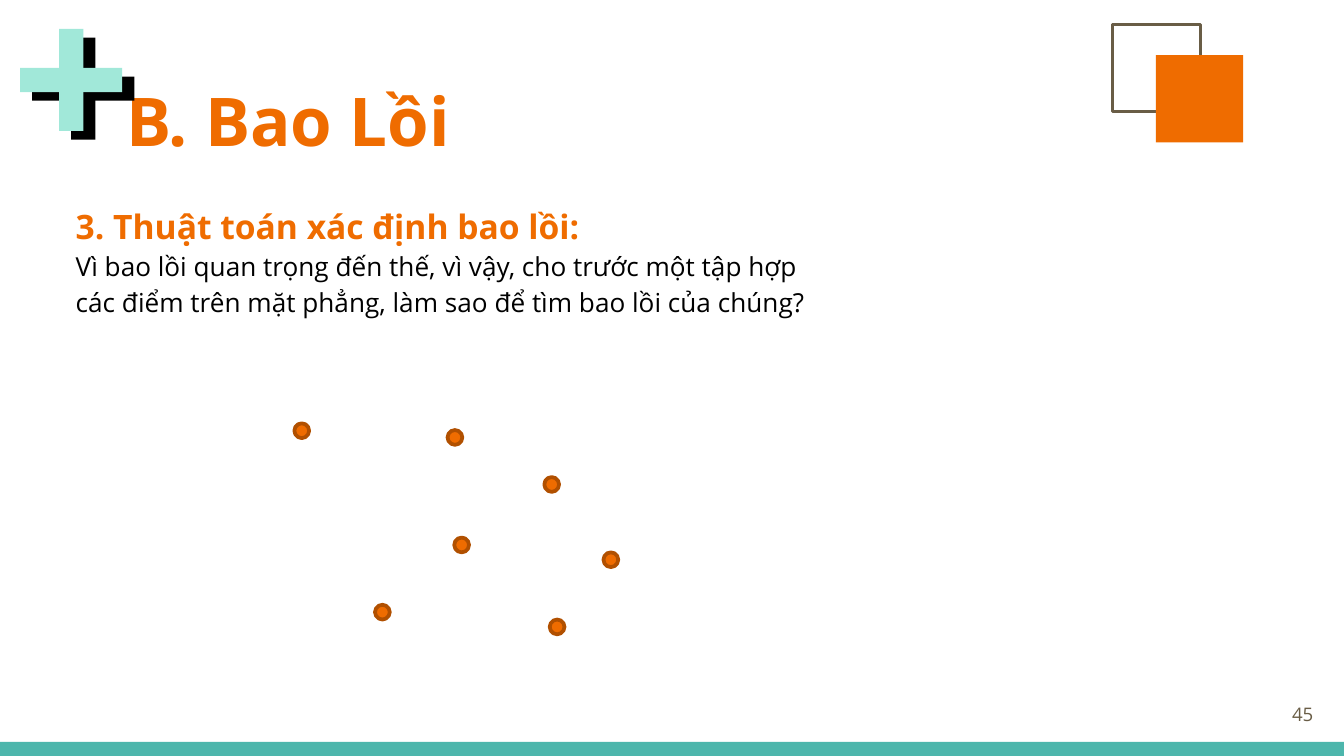
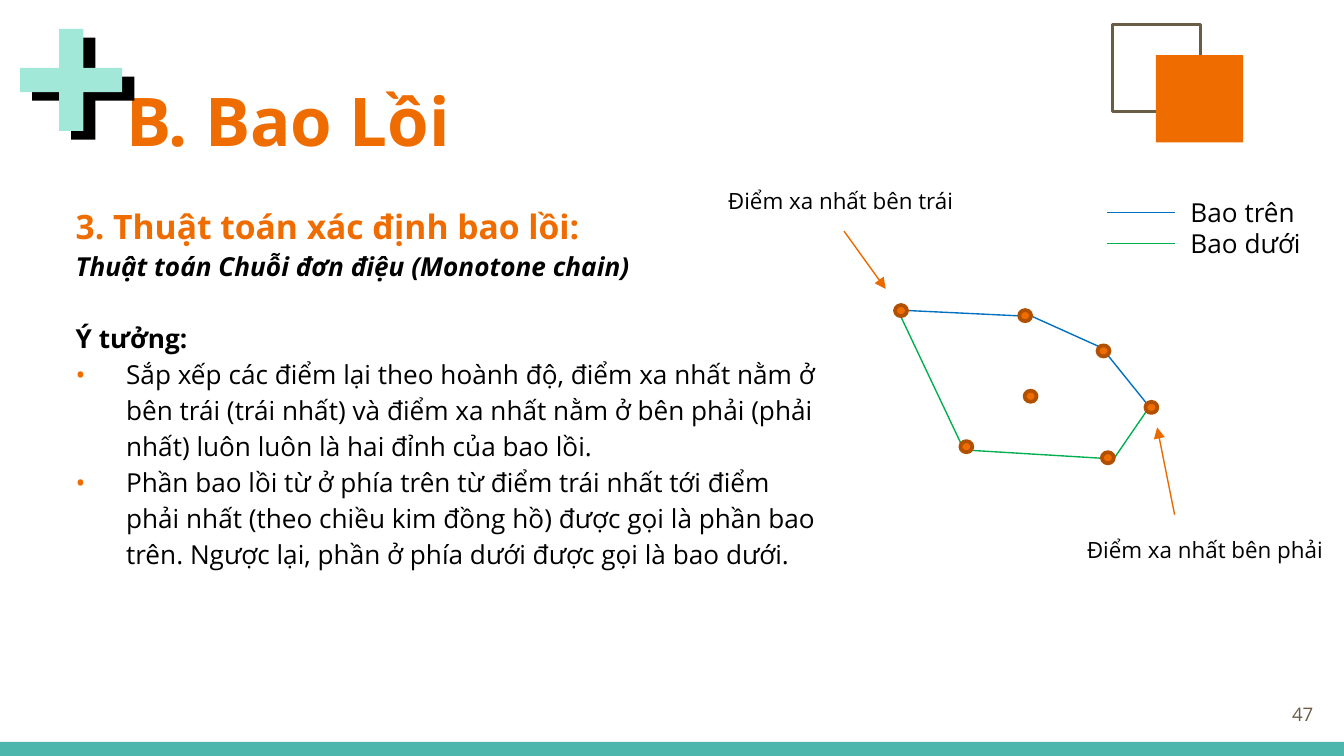
"""Build two slides on finding the convex hull of a set of points."""
from lxml import etree
from pptx import Presentation, util as u
from pptx.dml import color
from pptx.enum import shapes, text
from pptx.oxml import ns


class Theme:
    font = "Open Sans"
    orange, rust, arrow = "EF6C00", "B15000", "EA6A00"
    teal, mint, brown, black = "4DB6AC", "A1E8D9", "695D46", "000000"
    upper, lower = "0070C0", "00B050"
    thin, frame, ring = 0.75, 1.5, 2
    styles = {
        "title": dict(size=36, color=orange, bold=True, left=5),
        "heading": dict(size=18, color=orange, bold=True, left=1.25, spacing=1.15),
        "body": dict(size=14, color=black, left=1.25, spacing=1.15),
        "method": dict(size=14, color=black, bold=True, italic=True, left=1.25, spacing=1.15),
        "idea": dict(size=14, color=black, bold=True, left=1.25, spacing=1.15, before=19.1),
        "bullet": dict(size=14, color=black, left=5, hang=-3.75, spacing=1.15, bullet="•"),
        "number": dict(size=10, color=brown, align=text.PP_ALIGN.RIGHT),
        "label": dict(size=12, color=black),
        "legend": dict(size=14, color=black),
    }


RGB = color.RGBColor.from_string
RECT, OVAL = shapes.MSO_SHAPE.RECTANGLE, shapes.MSO_SHAPE.OVAL
prs = Presentation()
prs.slide_width, prs.slide_height = u.Inches(10), u.Inches(10 * 9 / 16)
COLS = 100
CELL = prs.slide_width / COLS
ROWS = prs.slide_height / CELL


def draw(s, kind, at, fill=None, line=None, width=Theme.thin):
    sp = s.shapes.add_shape(kind, *[round(v * CELL) for v in at])
    sp.shadow.inherit = False
    if fill:
        sp.fill.solid()
        sp.fill.fore_color.rgb = RGB(fill)
    else:
        sp.fill.background()
    if line:
        sp.line.color.rgb = RGB(line)
        sp.line.width = u.Pt(width)
    else:
        sp.line.fill.background()


def write(s, at, paragraphs, wrap=True, anchor=text.MSO_ANCHOR.TOP):
    tf = s.shapes.add_textbox(*[round(v * CELL) for v in at]).text_frame
    tf.word_wrap, tf.vertical_anchor = wrap, anchor
    if wrap:
        tf.margin_top = tf.margin_bottom = round(CELL)
    else:
        tf.auto_size = text.MSO_AUTO_SIZE.SHAPE_TO_FIT_TEXT
    for i, (style, words) in enumerate(paragraphs):
        look = Theme.styles[style]
        p = tf.paragraphs[0] if i == 0 else tf.add_paragraph()
        p.alignment = look.get("align")
        p.line_spacing = look.get("spacing")
        if "before" in look:
            p.space_before = u.Pt(look["before"])
        pPr = p._p.get_or_add_pPr()
        pPr.set("marL", str(round(look.get("left", 0) * CELL)))
        pPr.set("indent", str(round(look.get("hang", 0) * CELL)))
        if "bullet" in look:
            clr = etree.SubElement(pPr, ns.qn("a:buClr"))
            etree.SubElement(clr, ns.qn("a:srgbClr"), val=Theme.orange)
            etree.SubElement(pPr, ns.qn("a:buFont"), typeface=Theme.font)
            etree.SubElement(pPr, ns.qn("a:buChar"), char=look["bullet"])
        r = p.add_run()
        r.text = words
        r.font.name, r.font.size = Theme.font, u.Pt(look["size"])
        r.font.bold, r.font.italic = look.get("bold", False), look.get("italic", False)
        r.font.color.rgb = RGB(look["color"])


heading = ("heading", "3. Thuật toán xác định bao lồi:")
pages = [
    dict(number="45", body=(58.4, 18.7), dots=(21.9, 31.5), scale=(1, 1), lines=[], labels=[],
         paragraphs=[
             heading,
             ("body", "Vì bao lồi quan trọng đến thế, vì vậy, cho trước một tập hợp các điểm "
                      "trên mặt phẳng, làm sao để tìm bao lồi của chúng?"),
         ]),
    dict(number="47", body=(58.7, 32.9), dots=(66.6, 22.7), scale=(0.81, 0.75),
         paragraphs=[
             heading,
             ("method", "Thuật toán Chuỗi đơn điệu (Monotone chain)"),
             ("idea", "Ý tưởng:"),
             ("bullet", "Sắp xếp các điểm lại theo hoành độ, điểm xa nhất nằm ở bên trái (trái nhất) "
                        "và điểm xa nhất nằm ở bên phải (phải nhất) luôn luôn là hai đỉnh của bao lồi."),
             ("bullet", "Phần bao lồi từ ở phía trên từ điểm trái nhất tới điểm phải nhất (theo chiều "
                        "kim đồng hồ) được gọi là phần bao trên. Ngược lại, phần ở phía dưới được gọi "
                        "là bao dưới."),
         ],
         lines=[
             (Theme.lower, [(67, 23.5, 71.5, 33), (72.1, 33.5, 82, 34.1),
                            (82.9, 34.1, 85.3, 30.6), (82.4, 18.1, 87.4, 18.1)]),
             (Theme.upper, [(67.4, 23.1, 75.8, 23.5), (76.7, 23.5, 81.8, 25.8),
                            (82.4, 26.4, 85.3, 30), (82.4, 15.8, 87.4, 15.8)]),
             (Theme.arrow, [(62.8, 17.2, 65.9, 21.5), (87.4, 38.3, 86.1, 31.8)]),
         ],
         labels=[
             ((53.2, 13.4, 19, 3), [("label", "Điểm xa nhất bên trái")]),
             ((79.9, 39.4, 19.7, 3), [("label", "Điểm xa nhất bên phải")]),
             ((87.6, 14.1, 10.3, 5.7), [("legend", "Bao trên"), ("legend", "Bao dưới")]),
         ]),
]
dot_offsets = [(11.4, 0.5), (23, 9.6), (19, 14.6), (18.6, 4), (6, 13.5), (11.9, 8.5), (0, 0)]
dot_size, arm, bar, square = 1.1, 7.6, 1.8, 6.5

for page in pages:
    s = prs.slides.add_slide(prs.slide_layouts[6])
    draw(s, RECT, (0, ROWS - 1.05, COLS, 1.05), Theme.teal)
    write(s, (3.4, 4.9, 93.2, 7.7), [("title", "B. Bao Lồi")])
    write(s, (3.4, 13.85, *page["body"]), page["paragraphs"])
    write(s, (92.7, 51, 6, 4.3), [("number", page["number"])], anchor=text.MSO_ANCHOR.MIDDLE)

    for x, y, fill in [(2.4, 2.8, Theme.black), (1.5, 2.15, Theme.mint)]:
        middle = (arm - bar) / 2
        draw(s, RECT, (x + middle, y, bar, arm), fill)
        draw(s, RECT, (x, y + middle, arm, bar), fill)
    draw(s, RECT, (82.8, 1.8, square, square), line=Theme.brown, width=Theme.frame)
    draw(s, RECT, (86, 4.1, square, square), Theme.orange)

    for tone, segments in page["lines"]:
        for ends in segments:
            c = s.shapes.add_connector(shapes.MSO_CONNECTOR.STRAIGHT, *[round(v * CELL) for v in ends])
            c.line.color.rgb, c.line.width = RGB(tone), u.Pt(Theme.thin)
            if tone == Theme.arrow:
                etree.SubElement(c.line._get_or_add_ln(), ns.qn("a:tailEnd"), type="triangle")
            etree.SubElement(c._element.spPr, ns.qn("a:effectLst"))

    (left, top), (sx, sy) = page["dots"], page["scale"]
    for dx, dy in dot_offsets:
        draw(s, OVAL, (left + dx * sx, top + dy * sy, dot_size * sx, dot_size * sy),
             Theme.orange, Theme.rust, Theme.ring)
    for at, paragraphs in page["labels"]:
        write(s, at, paragraphs, wrap=False)

prs.save("out.pptx")
